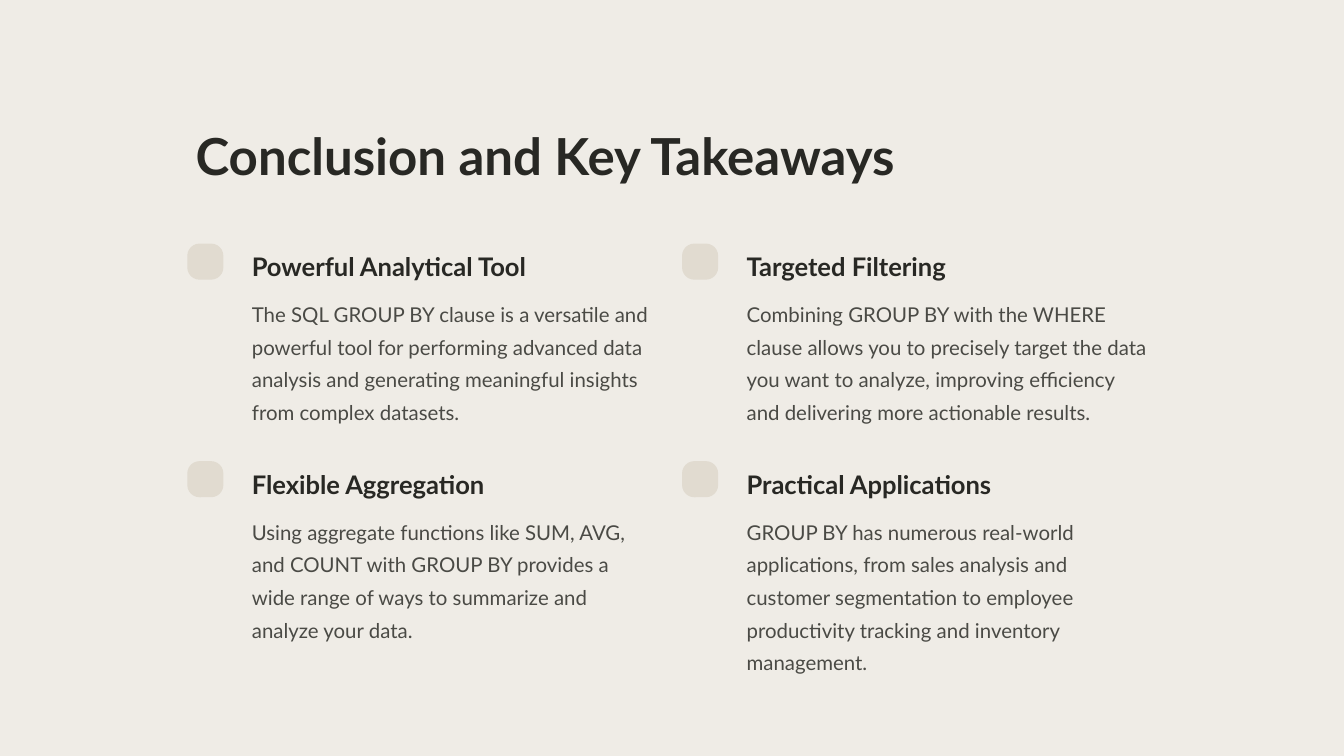
from pptx import Presentation
from pptx.dml.color import RGBColor
from pptx.enum.shapes import MSO_SHAPE
from pptx.enum.text import MSO_ANCHOR
from pptx.util import Inches, Pt

COLS, ROWS = 160, 90
LEFT, TOP = 22.3, 29
STEP_X, STEP_Y = 58.9, 25.9
INDENT = 6.7

HUES = {"paper": "EFECE6", "tile": "E1DBD0", "head": "282824", "body": "4A4A45"}
STYLES = {
    "title": {"size": Pt(43.7), "bold": True, "hue": "head", "lead": 54.7},
    "head": {"size": Pt(21.85), "bold": True, "hue": "head", "lead": 27.3},
    "body": {"size": Pt(17.5), "bold": False, "hue": "body", "lead": 28},
}
POINTS = [
    ("Powerful Analytical Tool",
     "The SQL GROUP BY clause is a versatile and powerful tool for performing "
     "advanced data analysis and generating meaningful insights from complex datasets."),
    ("Targeted Filtering",
     "Combining GROUP BY with the WHERE clause allows you to precisely target the data "
     "you want to analyze, improving efficiency and delivering more actionable results."),
    ("Flexible Aggregation",
     "Using aggregate functions like SUM, AVG, and COUNT with GROUP BY provides a wide "
     "range of ways to summarize and analyze your data."),
    ("Practical Applications",
     "GROUP BY has numerous real-world applications, from sales analysis and customer "
     "segmentation to employee productivity tracking and inventory management."),
]


class Deck:
    """Draws on the current slide in cells of a COLS by ROWS grid."""

    def __init__(self):
        self.show = Presentation()
        self.show.slide_width, self.show.slide_height = Inches(16), Inches(9)
        self.slide = self.show.slides.add_slide(self.show.slide_layouts[6])

    def cells(self, x, y, w, h):
        """Turn grid cells into slide lengths."""
        wide = self.show.slide_width / COLS
        high = self.show.slide_height / ROWS
        return round(x * wide), round(y * high), round(w * wide), round(h * high)

    def block(self, box, hue, kind=MSO_SHAPE.RECTANGLE, curve=None):
        shape = self.slide.shapes.add_shape(kind, *self.cells(*box))
        shape.shadow.inherit = False
        shape.fill.solid()
        shape.fill.fore_color.rgb = RGBColor.from_string(HUES[hue])
        shape.line.fill.background()
        if curve is not None:
            shape.adjustments[0] = curve

    def text(self, box, words, style):
        look = STYLES[style]
        frame = self.slide.shapes.add_textbox(*self.cells(*box)).text_frame
        frame.word_wrap = True
        frame.vertical_anchor = MSO_ANCHOR.TOP
        para = frame.paragraphs[0]
        para.line_spacing = Pt(look["lead"])
        run = para.add_run()
        run.text = words
        font = {"name": "Lato", "size": look["size"], "bold": look["bold"]}
        for key, value in font.items():
            setattr(run.font, key, value)
        run.font.color.rgb = RGBColor.from_string(HUES[look["hue"]])

    def point(self, x, y, head, body):
        """Draw a tile with its heading and text."""
        self.block((x, y, 4.3, 4.3), "tile", MSO_SHAPE.ROUNDED_RECTANGLE, 0.34)
        self.text((x + INDENT, y + 0.25, 36, 3.8), head, "head")
        self.text((x + INDENT, y + 5.5, 49.8, 15.5), body, "body")


def main():
    deck = Deck()
    deck.block((0, 0, COLS, ROWS), "paper")
    deck.text((LEFT, 14, 88, 7.6), "Conclusion and Key Takeaways", "title")
    for i, (head, body) in enumerate(POINTS):
        row, col = divmod(i, 2)
        deck.point(LEFT + col * STEP_X, TOP + row * STEP_Y, head, body)
    deck.show.save("out.pptx")


if __name__ == "__main__":
    main()
